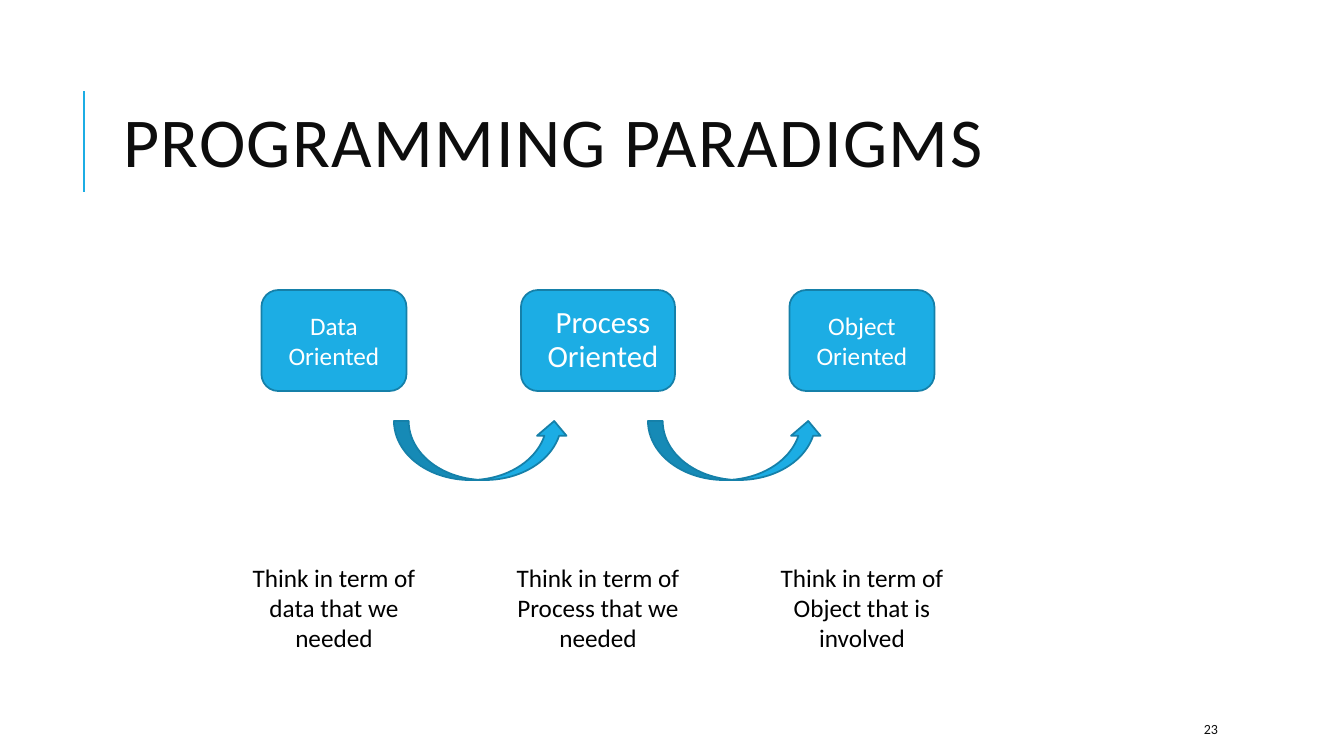
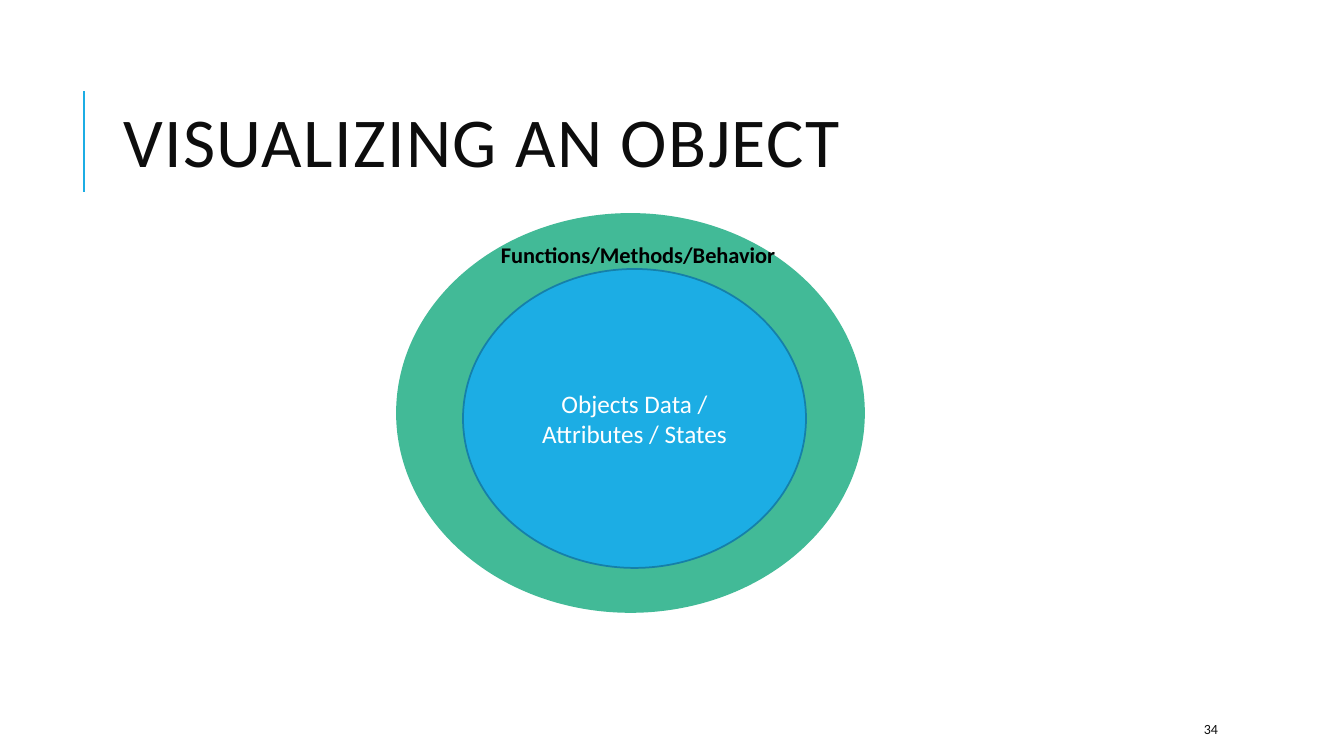
from pptx import Presentation
from pptx.dml.color import RGBColor
from pptx.enum import shapes, text
from pptx.oxml import parse_xml
from pptx.oxml.ns import nsdecls
from pptx.util import Emu, Pt

PX = 914400 / 100.8
FONT = "Calibri"
INK, BLACK, WHITE = "0D0D0D", "000000", "FFFFFF"
BLUE, BLUE_EDGE, GREEN = "1CADE4", "1580A9", "42BA97"
SHAPE = shapes.MSO_SHAPE
CENTER, LEFT = text.PP_ALIGN.CENTER, text.PP_ALIGN.LEFT
MIDDLE, TOP = text.MSO_ANCHOR.MIDDLE, text.MSO_ANCHOR.TOP

PARADIGMS = [
    {"label": "Data Oriented", "width": 145, "size": 18,
     "caption": "Think in term of data that we needed"},
    {"label": "Process Oriented", "width": 154, "size": 22,
     "spacing": 0.9, "insets": (15, 5, 5, 5),
     "caption": "Think in term of Process that we needed"},
    {"label": "Object Oriented", "width": 145, "size": 18,
     "caption": "Think in term of Object that is involved"},
]
FIRST_CENTER, COLUMN_PITCH = 334, 264
BOX_TOP, BOX_HEIGHT = 290, 101
CAPTION_TOP, CAPTION_WIDTH, CAPTION_HEIGHT = 557, 187, 102
ARROW_LEFT, ARROW_PITCH, ARROW_TOP, ARROW_SIZE = 394, 254, 421, (175, 59)

OBJECT_RINGS = [
    ((397, 214, 467, 398), GREEN, GREEN, ""),
    ((463, 269, 343, 299), BLUE, BLUE_EDGE, "Objects Data / Attributes / States"),
]
RING_LABEL = "Functions/Methods/Behavior"


def px(n):
    return Emu(round(n * PX))


def rgb(value):
    return RGBColor.from_string(value)


def write(s, content, size, color, align=LEFT, anchor=TOP, bold=False,
          spacing=None, insets=None):
    tf = s.text_frame
    tf.word_wrap = True
    tf.auto_size = text.MSO_AUTO_SIZE.NONE
    tf.vertical_anchor = anchor
    if insets:
        (tf.margin_left, tf.margin_top,
         tf.margin_right, tf.margin_bottom) = map(px, insets)
    p = tf.paragraphs[0]
    p.alignment = align
    if spacing:
        p.line_spacing = spacing
    r = p.add_run()
    r.text = content
    r.font.name, r.font.size, r.font.bold = FONT, Pt(size), bold
    r.font.color.rgb = rgb(color)
    return r


def add_text(slide, box, content, size, color, **style):
    write(slide.shapes.add_textbox(*map(px, box)), content, size, color, **style)


def add_figure(slide, kind, box, fill=BLUE, edge=BLUE_EDGE):
    s = slide.shapes.add_shape(kind, *map(px, box))
    s.shadow.inherit = False
    s.fill.solid()
    s.fill.fore_color.rgb = rgb(fill)
    s.line.color.rgb = rgb(edge)
    s.line.width = Pt(1.25)
    return s


def add_slide(prs, title, number):
    slide = prs.slides.add_slide(prs.slide_layouts[5])
    bar = slide.shapes.add_connector(
        shapes.MSO_CONNECTOR.STRAIGHT, *map(px, (84, 192, 84, 91)))
    bar.line.color.rgb = rgb(BLUE)
    bar.line.width = Pt(1.5)
    bar._element.spPr.append(parse_xml(f"<a:effectLst {nsdecls('a')}/>"))
    s = slide.shapes.title
    s.left, s.top, s.width, s.height = map(px, (113, 65, 1071, 165))
    r = write(s, title, 50, INK, anchor=MIDDLE, spacing=0.8)
    r.font._element.set("spc", "100")
    add_text(slide, (1194, 714, 107, 30), number, 10, INK, anchor=MIDDLE)
    return slide


def add_paradigms(prs):
    slide = add_slide(prs, "PROGRAMMING PARADIGMS", "23")
    for i, item in enumerate(PARADIGMS):
        center = FIRST_CENTER + i * COLUMN_PITCH
        width = item["width"]
        s = add_figure(slide, SHAPE.ROUNDED_RECTANGLE,
                       (center - width / 2, BOX_TOP, width, BOX_HEIGHT))
        write(s, item["label"], item["size"], WHITE, CENTER, MIDDLE,
              spacing=item.get("spacing"), insets=item.get("insets"))
        add_text(slide, (center - CAPTION_WIDTH / 2, CAPTION_TOP,
                         CAPTION_WIDTH, CAPTION_HEIGHT),
                 item["caption"], 18, BLACK, align=CENTER)
    for i in range(len(PARADIGMS) - 1):
        add_figure(slide, SHAPE.CURVED_UP_ARROW,
                   (ARROW_LEFT + i * ARROW_PITCH, ARROW_TOP, *ARROW_SIZE))


def add_object(prs):
    slide = add_slide(prs, "VISUALIZING AN OBJECT", "34")
    for box, fill, edge, label in OBJECT_RINGS:
        s = add_figure(slide, SHAPE.OVAL, box, fill, edge)
        if label:
            write(s, label, 18, WHITE, CENTER, MIDDLE)
    add_text(slide, (491, 236, 365, 37), RING_LABEL, 16, BLACK, bold=True)


def main():
    prs = Presentation()
    prs.slide_width, prs.slide_height = px(1344), px(756)
    add_paradigms(prs)
    add_object(prs)
    prs.save("out.pptx")


if __name__ == "__main__":
    main()
